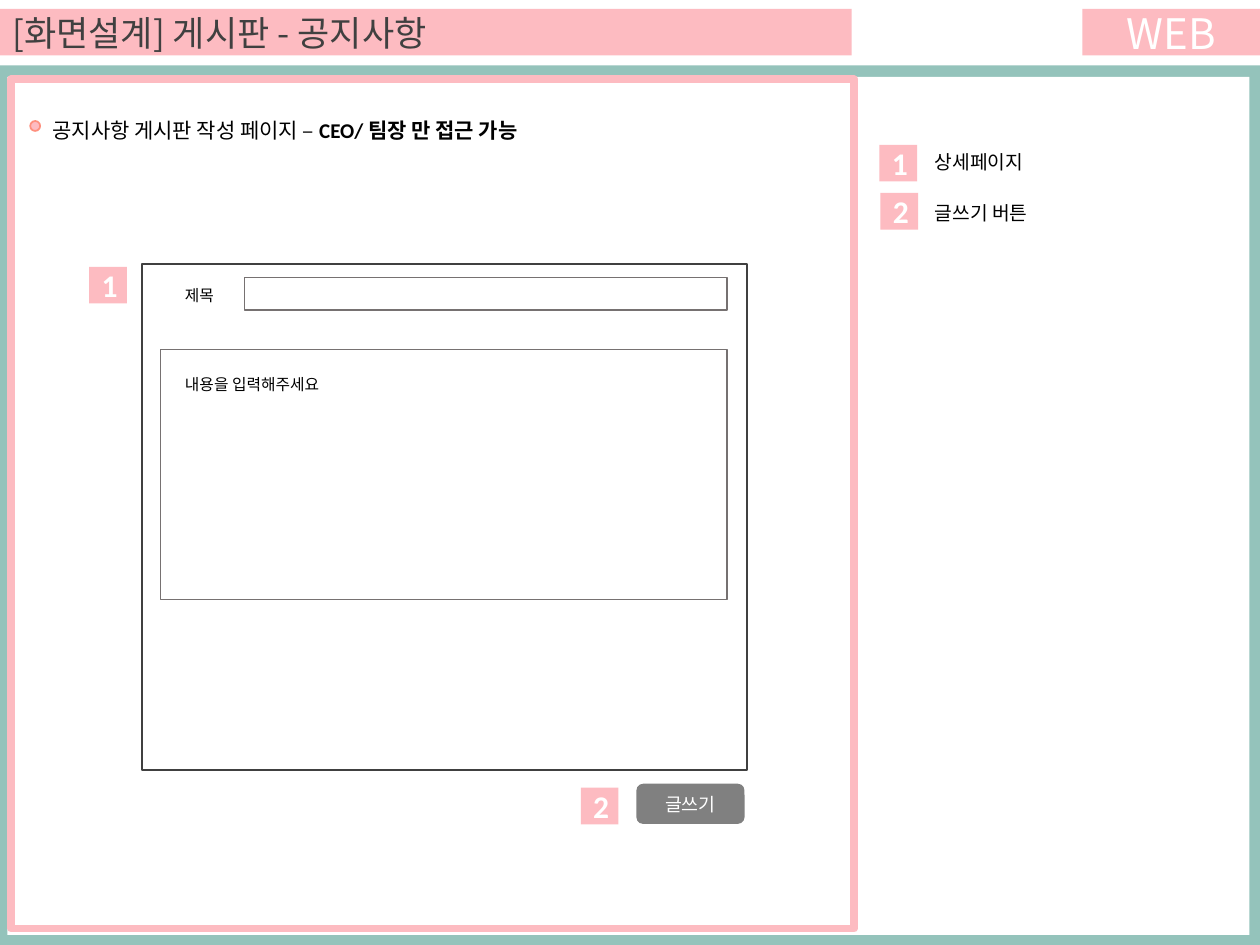
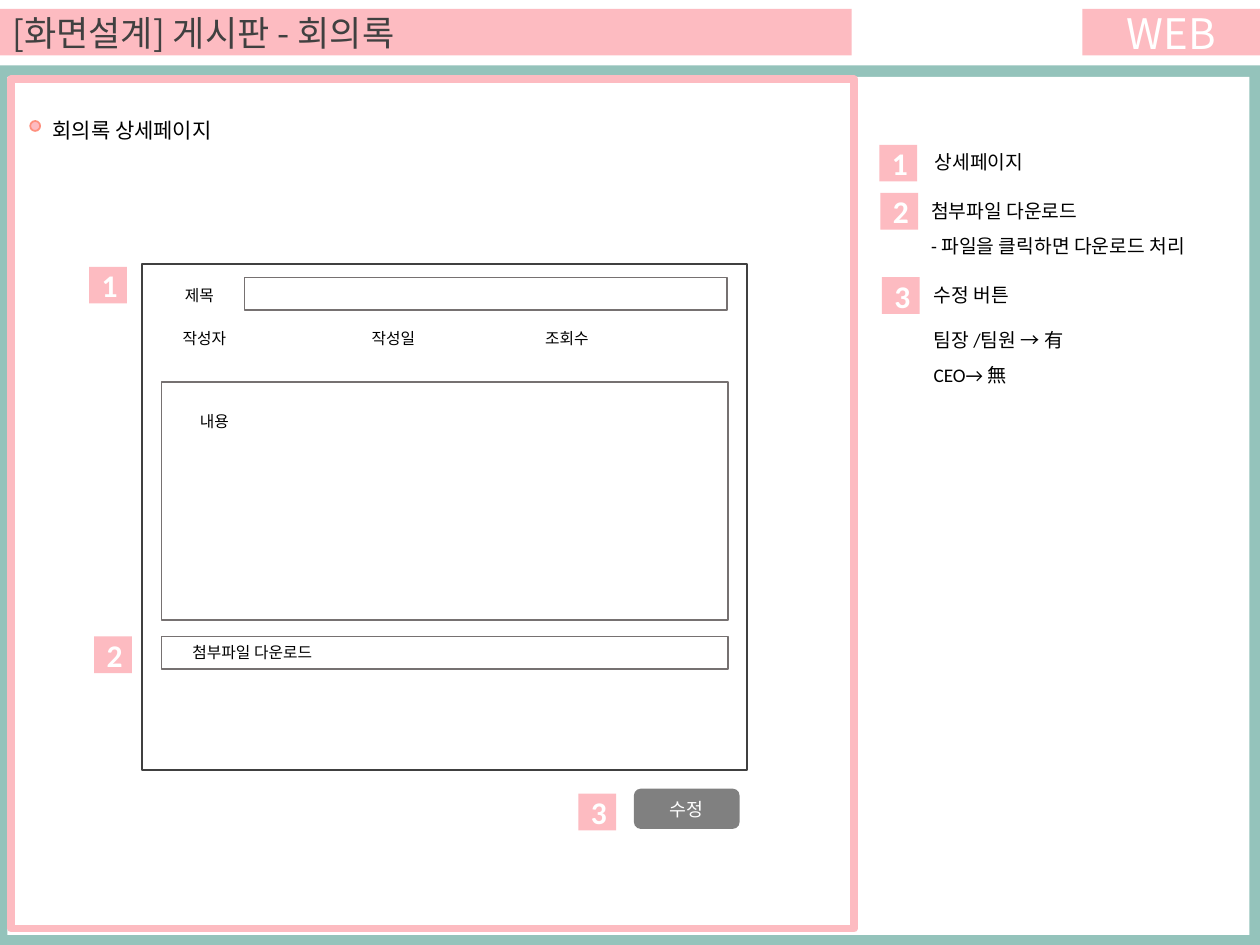
from lxml import etree
from pptx import Presentation
from pptx.dml.color import RGBColor
from pptx.enum import shapes, text
from pptx.oxml.ns import qn
from pptx.util import Cm, Pt

PINK, TEAL, WHITE, BLACK = "FDBBC1", "94C3BB", "FFFFFF", "000000"
DARK, GRAY, BUTTON_GRAY, CORAL = "404040", "767171", "808080", "FE907E"
LATIN, KOREAN = "Calibri", "Noto Sans CJK KR"
RECT = shapes.MSO_SHAPE.RECTANGLE
ROUNDED = shapes.MSO_SHAPE.ROUNDED_RECTANGLE
OVAL = shapes.MSO_SHAPE.OVAL
BADGE_SIZE = (0.76, 0.74)

# Positions are in centimetres: left, top (, width, height).
SHARED_FIELDS = [(4.93, 5.59, 9.73, 0.66)]
SHARED_LABELS = [("제목", 3.48, 5.64)]
SHARED_BADGES = [("1", 17.73, 2.92), ("1", 1.8, 5.38), ("2", 17.75, 3.89)]
SHARED_NOTES = [(["상세페이지"], 18.59, 2.9, 1)]

SCREENS = [
    {
        "title": "[화면설계] 게시판 - 공지사항",
        "heading": [("공지사항 게시판 작성 페이지 – ", False),
                    ("CEO/ 팀장 만 접근 가능", True)],
        "fields": [(3.23, 7.04, 11.43, 5.05)],
        "labels": [("내용을 입력해주세요", 3.48, 7.44)],
        "badges": [("2", 11.71, 15.88)],
        "button": ("글쓰기", 12.83, 15.8, 2.18, 0.81),
        "notes": [(["글쓰기 버튼"], 18.59, 3.94, 1)],
    },
    {
        "title": "[화면설계] 게시판 - 회의록",
        "heading": [("회의록 상세페이지", False)],
        "fields": [(3.25, 7.7, 11.43, 4.8), (3.25, 12.83, 11.43, 0.66)],
        "labels": [("작성자", 3.43, 6.5), ("작성일", 7.24, 6.5),
                   ("조회수", 10.74, 6.5), ("내용", 3.78, 8.18),
                   ("첨부파일 다운로드", 3.63, 12.83)],
        "badges": [("2", 1.9, 12.83), ("3", 11.66, 16), ("3", 17.78, 5.59)],
        "button": ("수정", 12.78, 15.9, 2.13, 0.81),
        "notes": [(["첨부파일 다운로드", "- 파일을 클릭하면 다운로드 처리"], 18.52, 3.89, 1),
                  (["수정 버튼"], 18.57, 5.59, 1),
                  (["팀장 /팀원 → 有", "CEO→ 無"], 18.57, 6.27, 1.5)],
    },
]


def color(value):
    return RGBColor.from_string(value)


def write(para, words, size=11, ink=BLACK, font=LATIN, bold=False):
    """Add a run that uses the Korean font for its East Asian letters."""
    span = para.add_run()
    span.text = words
    span.font.size = Pt(size)
    span.font.name = font
    span.font.bold = bold
    span.font.color.rgb = color(ink)
    etree.SubElement(span.font._element, qn("a:ea"), typeface=KOREAN)


def add_box(page, area, kind=RECT, fill=None, line=None, weight=0.75,
            words="", align=text.PP_ALIGN.CENTER, **look):
    box = page.shapes.add_shape(kind, *map(Cm, area))
    box.shadow.inherit = False
    if fill:
        box.fill.solid()
        box.fill.fore_color.rgb = color(fill)
    else:
        box.fill.background()
    if line:
        box.line.color.rgb = color(line)
        box.line.width = Pt(weight)
    else:
        box.line.fill.background()
    if words:
        box.text_frame.vertical_anchor = text.MSO_ANCHOR.MIDDLE
        para = box.text_frame.paragraphs[0]
        para.alignment = align
        write(para, words, **look)


def add_text(page, area, lines, first_spacing=1, **look):
    """Each line is a list of (words, bold) runs; later lines are spaced 1.5."""
    frame = page.shapes.add_textbox(*map(Cm, area)).text_frame
    frame.word_wrap = True
    for index, runs in enumerate(lines):
        para = frame.add_paragraph() if index else frame.paragraphs[0]
        spacing = 1.5 if index else first_spacing
        if spacing != 1:
            para.line_spacing = spacing
        for words, bold in runs:
            write(para, words, bold=bold, **look)


def add_frame(page, title, heading):
    add_box(page, (0, 1.32, 25.4, 17.73), fill=TEAL)
    add_box(page, (0.15, 1.55, 25.04, 17.3), fill=WHITE)
    add_box(page, (0.23, 1.6, 16.99, 17.12), line=PINK, weight=4.5)
    add_box(page, (0, 0.18, 17.17, 0.94), fill=PINK, words=title, size=20,
            ink=DARK, font=KOREAN, align=text.PP_ALIGN.LEFT)
    add_box(page, (21.82, 0.18, 3.58, 0.94), fill=PINK, words="WEB", size=24,
            ink=WHITE, font=KOREAN)
    add_box(page, (0.61, 2.44, 0.2, 0.2), OVAL, fill=PINK, line=CORAL, weight=1)
    add_text(page, (0.81, 2.24, 11, 0.77), [heading], size=12)


def add_screen(deck, screen):
    page = deck.slides.add_slide(deck.slide_layouts[6])
    add_frame(page, screen["title"], screen["heading"])
    add_box(page, (2.87, 5.33, 12.19, 10.19), line=DARK, weight=1)
    for area in SHARED_FIELDS + screen["fields"]:
        add_box(page, area, line=GRAY)
    for words, left, top in SHARED_LABELS + screen["labels"]:
        add_text(page, (left, top, 4, 0.64), [[(words, False)]], size=9)
    for number, left, top in SHARED_BADGES + screen["badges"]:
        add_box(page, (left, top, *BADGE_SIZE), fill=PINK, words=number,
                size=18, ink=WHITE, bold=True)
    caption, *area = screen["button"]
    add_box(page, area, ROUNDED, fill=BUTTON_GRAY, words=caption, size=10.5,
            ink=WHITE, font=KOREAN)
    for lines, left, top, spacing in SHARED_NOTES + screen["notes"]:
        add_text(page, (left, top, 6.8, 0.73 * len(lines)),
                 [[(words, False)] for words in lines], spacing)


def main():
    deck = Presentation()
    deck.slide_width, deck.slide_height = Cm(25.4), Cm(19.05)
    for screen in SCREENS:
        add_screen(deck, screen)
    deck.save("out.pptx")


if __name__ == "__main__":
    main()
